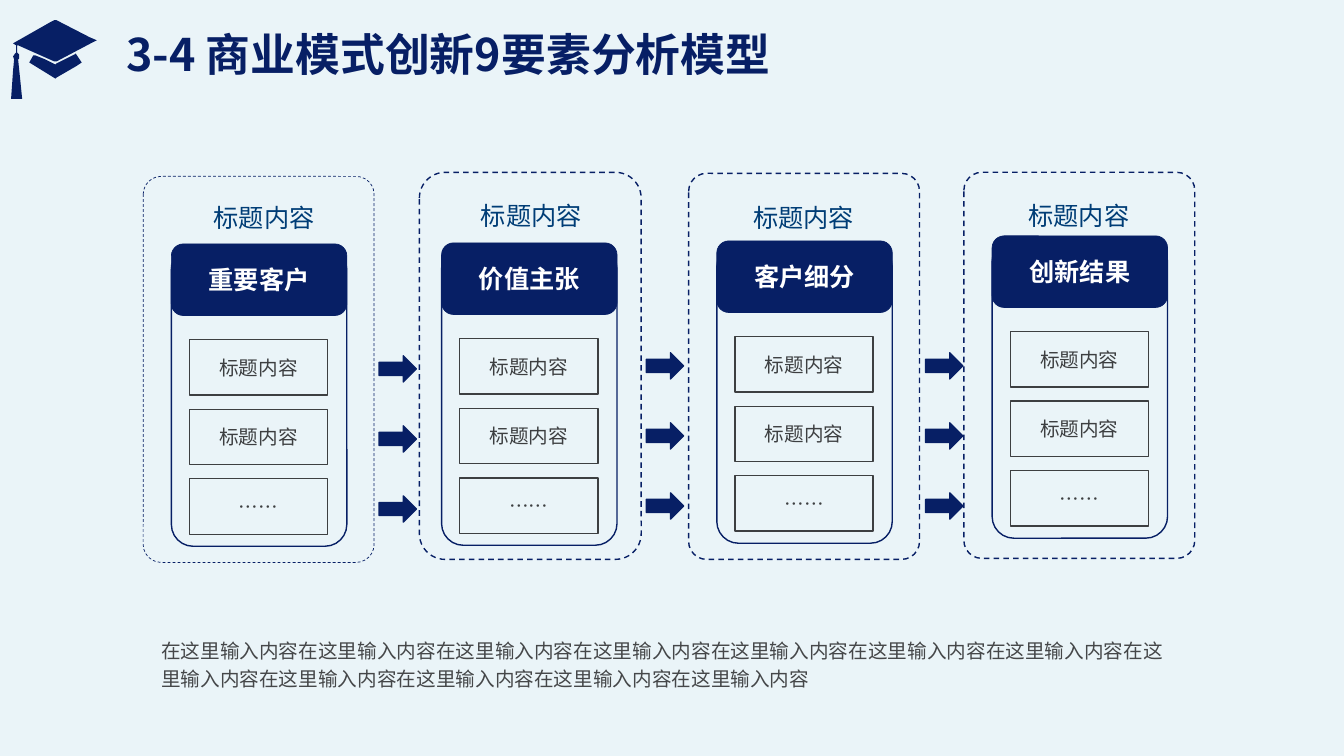
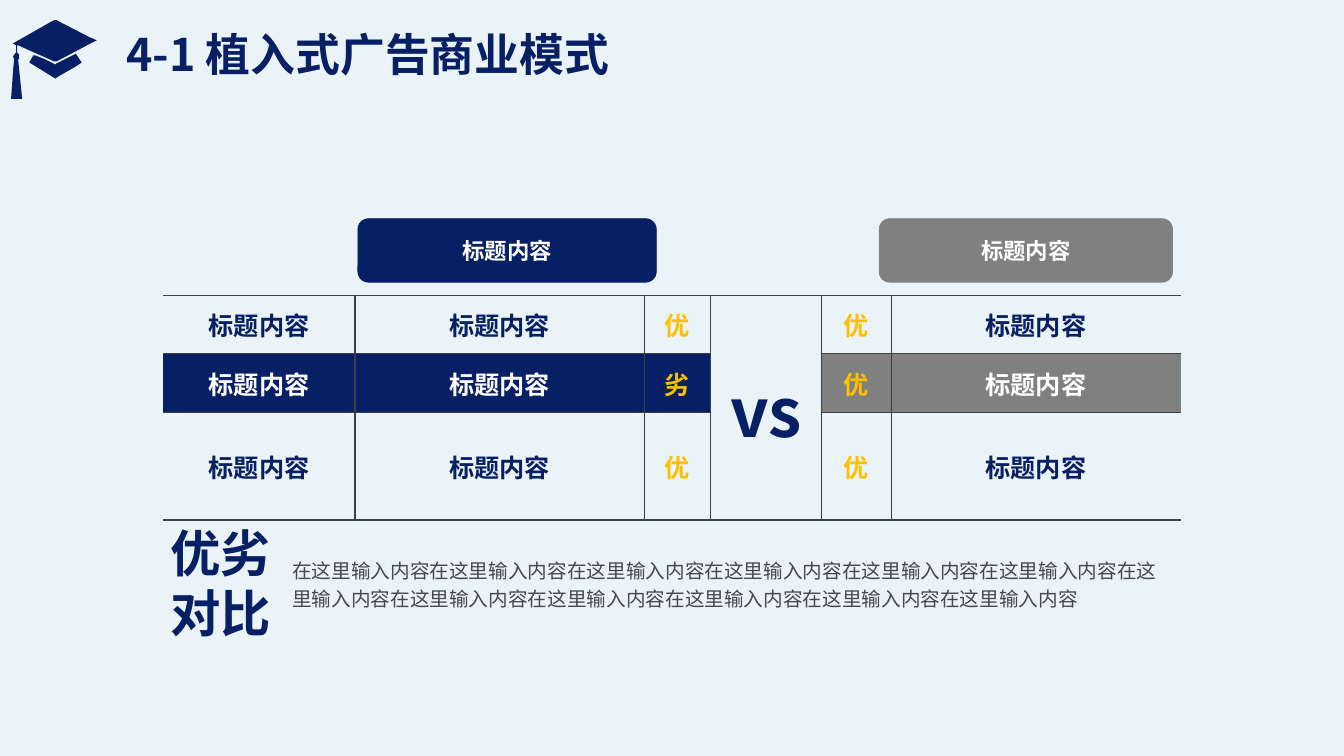
from lxml import etree
from pptx import Presentation
from pptx.dml.color import RGBColor
from pptx.enum.dml import MSO_LINE
from pptx.enum.shapes import MSO_SHAPE
from pptx.enum.text import MSO_ANCHOR, PP_ALIGN
from pptx.oxml.ns import qn
from pptx.util import Inches, Pt

RECT, ROUND = MSO_SHAPE.RECTANGLE, MSO_SHAPE.ROUNDED_RECTANGLE
ARROW = MSO_SHAPE.RIGHT_ARROW
DASH = MSO_LINE.DASH
LEFT, CENTER = PP_ALIGN.LEFT, PP_ALIGN.CENTER
MIDDLE, BOTTOM = MSO_ANCHOR.MIDDLE, MSO_ANCHOR.BOTTOM
FONT = "Noto Sans CJK SC"
INK = {
    "back": "EAF4F8", "navy": "071F65", "blue": "003D76", "gray": "808080",
    "dark": "3D3F41", "text": "454749", "gold": "FFC000", "white": "FFFFFF",
}
RGB = {name: RGBColor.from_string(code) for name, code in INK.items()}
LABEL = "标题内容"
BODY = "在这里输入内容" * 12


def write(frame, text, size, color, bold=False, align=CENTER, space=None):
    """Fill a text frame, one paragraph per line of text."""
    frame.word_wrap = True
    for i, line in enumerate(text.split("\n")):
        para = frame.add_paragraph() if i else frame.paragraphs[0]
        para.text = line
        para.alignment = align
        if space:
            para.line_spacing = space
        font = para.font
        font.size, font.bold, font.name = Pt(size), bold, FONT
        font.color.rgb = RGB[color]
        props = para._p.pPr.find(qn("a:defRPr"))
        etree.SubElement(props, qn("a:ea")).set("typeface", FONT)


def draw(slide, kind, x, y, w, h, line, width=1, fill=None, adj=None):
    """Add a preset shape with a plain outline."""
    shape = slide.shapes.add_shape(kind, Inches(x), Inches(y), Inches(w), Inches(h))
    shape.shadow.inherit = False
    if fill:
        shape.fill.solid()
        shape.fill.fore_color.rgb = RGB[fill]
    else:
        shape.fill.background()
    shape.line.color.rgb = RGB[line]
    shape.line.width = Pt(width)
    if adj:
        shape.adjustments[0] = adj
    shape.text_frame.vertical_anchor = MIDDLE
    return shape


deck = Presentation()
deck.slide_width, deck.slide_height = Inches(13.33), Inches(7.5)
back = deck.slide_master.background.fill
back.solid()
back.fore_color.rgb = RGB["back"]

# Shared parts: graduation cap (points in hundredths of an inch) and title
CAP = [
    [(17, 45), (17, 52), (19, 54), (19, 58), (18, 59), (20, 78), (22, 98),
     (11, 98), (13, 70), (14, 59), (13, 56), (15, 53), (16, 52), (16, 45),
     (13, 43), (50, 22), (54, 20), (56, 20), (89, 37), (96, 40), (92, 42),
     (56, 61), (54, 61), (18, 45)],
    [(29, 62), (33, 55), (35, 55), (45, 59), (55, 64), (56, 63), (74, 54),
     (75, 53), (81, 62), (75, 66), (56, 77), (55, 78)],
]
pages = []
for head in ("3-4 商业模式创新9要素分析模型", "4-1 植入式广告商业模式"):
    page = deck.slides.add_slide(deck.slide_layouts[5])
    for points in CAP:
        form = page.shapes.build_freeform(*points[0], scale=Inches(0.01))
        form.add_line_segments(points[1:], close=True)
        part = form.convert_to_shape()
        part.shadow.inherit = False
        part.fill.solid()
        part.fill.fore_color.rgb = RGB["navy"]
        part.line.fill.background()
    title = page.shapes.title
    title.left, title.top = Inches(1.15), Inches(0.09)
    title.width, title.height = Inches(12.09), Inches(0.77)
    title.text_frame.vertical_anchor = BOTTOM
    write(title.text_frame, head, 32, "navy", True, LEFT, 0.9)
    pages.append(page)
model, versus = pages

# Body text of both slides
for page, x, y, w in ((model, 1.5, 6.24, 10.27), (versus, 2.8, 5.45, 8.83)):
    note = page.shapes.add_textbox(Inches(x), Inches(y), Inches(w), Inches(0.67))
    write(note.text_frame, BODY, 14, "text", align=LEFT, space=1.2)

# Slide 1: four cards, each as name, frame, frame style, header and label place
CARDS = [
    ("重要客户", (1.42, 1.75, 2.29, 3.83), 0.5, 0.078, (1.7, 2.42), (2.12, 2.01)),
    ("价值主张", (4.16, 1.71, 2.2, 3.84), 1, 0.116, (4.38, 2.41), (4.77, 1.99)),
    ("客户细分", (6.83, 1.72, 2.29, 3.83), 1, 0.078, (7.11, 2.39), (7.47, 2.01)),
    ("创新结果", (9.56, 1.71, 2.29, 3.83), 1, 0.078, (9.84, 2.34), (10.2, 1.99)),
]
for name, frame, width, adj, (x, y), (left, top) in CARDS:
    draw(model, ROUND, *frame, "navy", width, adj=adj).line.dash_style = DASH
    draw(model, ROUND, x, y + 0.04, 1.74, 2.96, "navy", adj=0.124)
    bar = draw(model, ROUND, x, y, 1.74, 0.71, "navy", 0.5, "navy")
    write(bar.text_frame, name, 18, "white", True)
    for i, item in enumerate((LABEL, LABEL, "……")):
        box = draw(model, RECT, x + 0.18, y + 0.95 + i * 0.69, 1.37, 0.55, "dark")
        write(box.text_frame, item, 14, "dark")
    tag = model.shapes.add_textbox(Inches(left), Inches(top), Inches(1.01), Inches(0.3))
    text = tag.text_frame
    text.margin_left = text.margin_right = text.margin_top = text.margin_bottom = 0
    text.vertical_anchor = BOTTOM
    write(text, LABEL, 18, "blue", align=LEFT)
    text.word_wrap = False

# Arrows between the cards
for x, y in ((3.76, 3.53), (6.41, 3.5), (9.18, 3.5)):
    for i in range(3):
        draw(model, ARROW, x, y + i * 0.695, 0.37, 0.26, "navy", fill="navy")

# Slide 2: comparison table
COLS = [1.9, 2.87, 0.66, 1.1, 0.69, 2.87]
ROWS = [0.58, 0.58, 1.07]
MARKS = ["优", "劣", "优"]
grid = versus.shapes.add_table(
    3, 6, Inches(1.62), Inches(2.93), Inches(sum(COLS)), Inches(sum(ROWS))).table
grid.first_row = grid.horz_banding = False
for col, w in zip(grid.columns, COLS):
    col.width = Inches(w)
for row, h in zip(grid.rows, ROWS):
    row.height = Inches(h)
grid.cell(0, 3).merge(grid.cell(2, 3))
for r, mark in enumerate(MARKS):
    band = r == 1
    for c, item in enumerate((LABEL, LABEL, mark, "vs", "优", LABEL)):
        cell = grid.cell(r, c)
        cell.vertical_anchor = MIDDLE
        # Borders everywhere but the outer left and right edges
        props = cell._tc.get_or_add_tcPr()
        for side, show in (("L", c > 0), ("R", c < 5), ("T", True), ("B", True)):
            edge = etree.SubElement(props, qn("a:ln" + side), w=str(Pt(1)))
            if show:
                fill = etree.SubElement(edge, qn("a:solidFill"))
                etree.SubElement(fill, qn("a:srgbClr"), val=INK["dark"])
            else:
                etree.SubElement(edge, qn("a:noFill"))
        if band and c != 3:
            cell.fill.solid()
            cell.fill.fore_color.rgb = RGB["navy" if c < 3 else "gray"]
        else:
            cell.fill.background()
        if c == 3:
            if r == 0:
                write(cell.text_frame, item, 48, "navy", True)
            continue
        color = "gold" if c in (2, 4) else "white" if band else "navy"
        write(cell.text_frame, item, 18, color, True)

# Headers above the table
for x, w, color in ((3.55, 2.96, "navy"), (8.72, 2.91, "gray")):
    bar = draw(versus, ROUND, x, 2.17, w, 0.63, color, 0.5, color)
    write(bar.text_frame, LABEL, 16, "white", True)

# Verdict beside the body text
box = versus.shapes.add_textbox(Inches(1.43), Inches(5.13), Inches(1.52), Inches(1.31))
write(box.text_frame, "优劣\n对比", 36, "navy", True)

deck.save("out.pptx")
